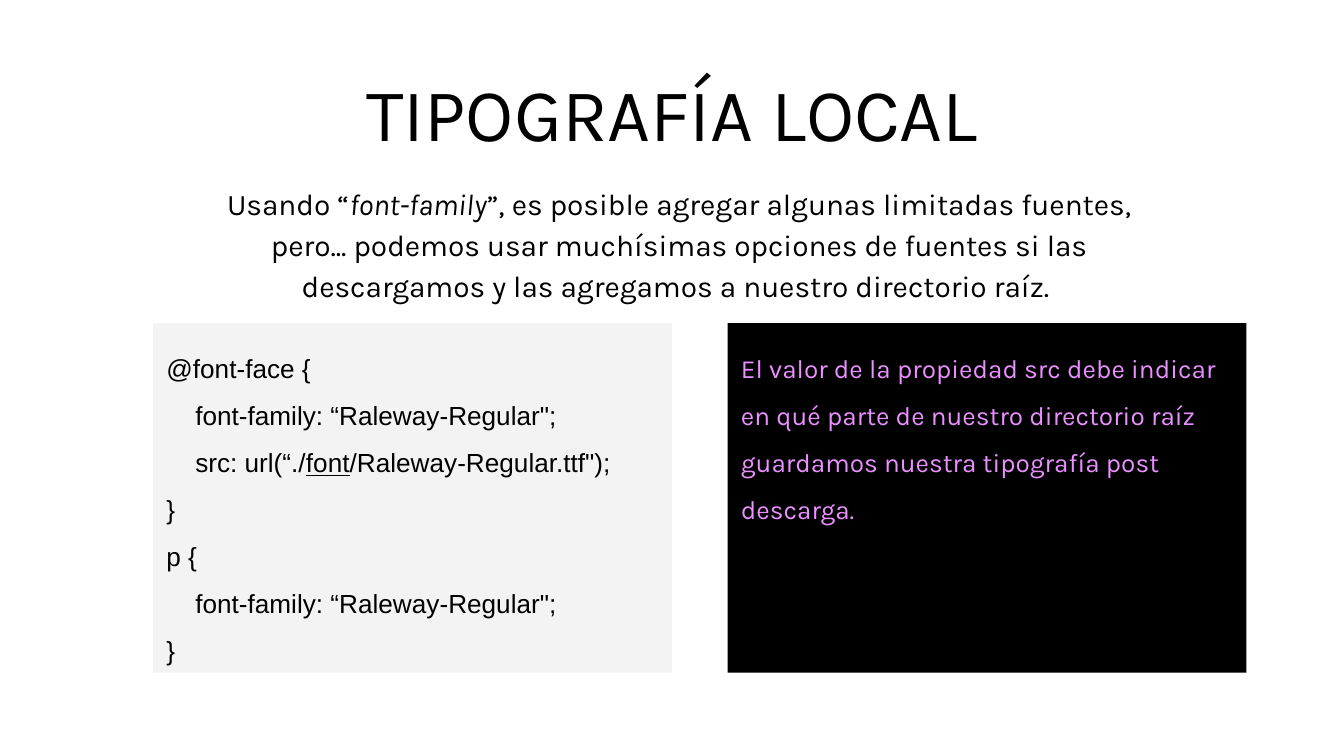
from pptx import Presentation
from pptx.dml.color import RGBColor
from pptx.enum.shapes import MSO_SHAPE
from pptx.enum.text import MSO_ANCHOR, PP_ALIGN
from pptx.util import Pt

PX = 4572  # 200 px to the inch
RECTANGLE = MSO_SHAPE.RECTANGLE
TOP = MSO_ANCHOR.TOP
LEFT, CENTER = PP_ALIGN.LEFT, PP_ALIGN.CENTER

BLACK = RGBColor(0x00, 0x00, 0x00)
GREY = RGBColor(0xF3, 0xF3, 0xF3)
PINK = RGBColor(0xEA, 0x90, 0xFF)

PANEL_TOP, PANEL_WIDTH, PANEL_HEIGHT = 481, 772, 520
MARGIN = 20
CODE_INDENT = 43

prs = Presentation()
prs.slide_width, prs.slide_height = 2000 * PX, 1125 * PX
slide = prs.slides.add_slide(prs.slide_layouts[6])


def prepare_frame(shape):
    frame = shape.text_frame
    frame.word_wrap = True
    frame.vertical_anchor = TOP
    frame.margin_left = frame.margin_right = MARGIN * PX
    frame.margin_top = frame.margin_bottom = MARGIN * PX
    return frame


def write(paragraph, pieces, size, font, color, spacing, align=LEFT):
    """Fill a paragraph with (text, style) pieces; style is '', 'italic' or 'underline'."""
    paragraph.alignment = align
    paragraph.line_spacing = spacing
    for text, style in pieces:
        run = paragraph.add_run()
        run.text = text
        run.font.size = Pt(size)
        run.font.name = font
        run.font.color.rgb = color
        if style:
            setattr(run.font, style, True)


# Title
title = prepare_frame(slide.shapes.add_textbox(318 * PX, 60 * PX, 1364 * PX, 152 * PX))
heading = title.paragraphs[0]
write(heading, [("TIPOGRAFÍA LOCAL", "")], 40, "Karla", BLACK, 1.15, CENTER)
heading.space_after = Pt(3)

# Code and explanation panels
panels = []
for left, fill in ((228, GREY), (1083, BLACK)):
    panel = slide.shapes.add_shape(
        RECTANGLE, left * PX, PANEL_TOP * PX, PANEL_WIDTH * PX, PANEL_HEIGHT * PX)
    panel.shadow.inherit = False
    panel.fill.solid()
    panel.fill.fore_color.rgb = fill
    panel.line.fill.background()
    panels.append(prepare_frame(panel))
code, explanation = panels

# CSS code: indent flag and pieces of each line
family_line = (True, [("font-family: “Raleway-Regular\";", "")])
code_lines = [
    (False, [("@font-face {", "")]),
    family_line,
    (True, [("src: url(“./", ""), ("font", "underline"), ("/Raleway-Regular.ttf\");", "")]),
    (False, [("}", "")]),
    (False, [("p {", "")]),
    family_line,
    (False, [("}", "")]),
]
for number, (indented, pieces) in enumerate(code_lines):
    line = code.add_paragraph() if number else code.paragraphs[0]
    write(line, pieces, 14, "Arial", BLACK, 1.5)
    if indented:
        properties = line._p.get_or_add_pPr()
        properties.set("marL", str(CODE_INDENT * PX))
        properties.set("indent", "0")

# Explanation of src
write(explanation.paragraphs[0], [
    ("El valor de la propiedad src debe indicar en qué parte de nuestro directorio raíz "
     "guardamos nuestra tipografía post descarga.", ""),
], 14, "Karla", PINK, 1.5)

# Introduction
intro = prepare_frame(slide.shapes.add_textbox(270 * PX, 248 * PX, 1482 * PX, 228 * PX))
write(intro.paragraphs[0], [
    ("Usando “", ""),
    ("font-family", "italic"),
    ("”, es posible agregar algunas limitadas fuentes, pero... podemos usar muchísimas "
     "opciones de fuentes si las descargamos y las agregamos a nuestro directorio raíz. ", ""),
], 16, "Karla", BLACK, 1.15, CENTER)

prs.save("out.pptx")
